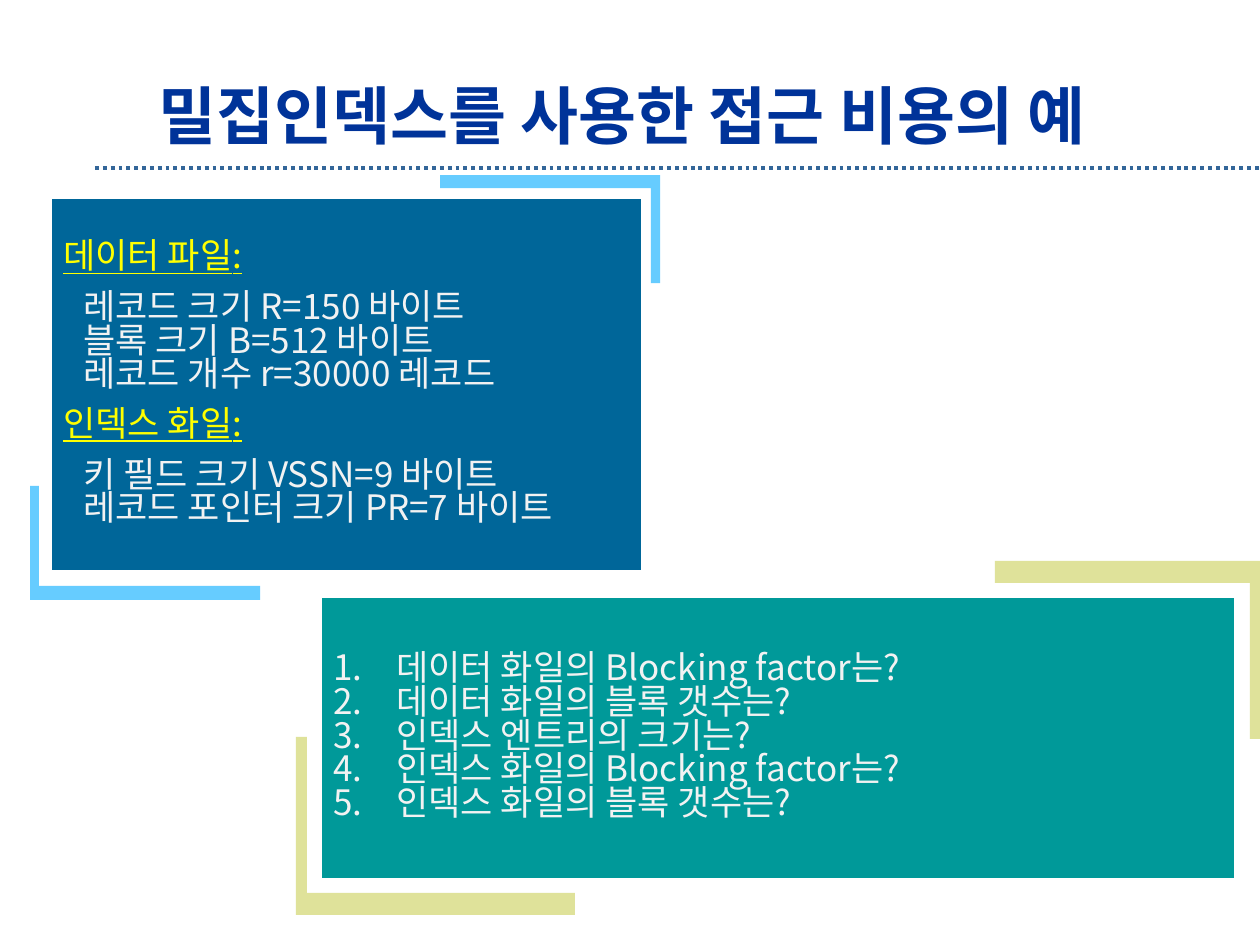
from lxml import etree
from pptx import Presentation
from pptx.dml.color import RGBColor
from pptx.enum.dml import MSO_LINE
from pptx.enum.shapes import MSO_CONNECTOR, MSO_SHAPE
from pptx.enum.text import MSO_ANCHOR, MSO_AUTO_SIZE, PP_ALIGN
from pptx.oxml.ns import qn
from pptx.util import Emu, Pt

SYS_DOT = MSO_LINE.ROUND_DOT
STRAIGHT = MSO_CONNECTOR.STRAIGHT
RECT = MSO_SHAPE.RECTANGLE
MIDDLE = MSO_ANCHOR.MIDDLE
LEFT, CENTER = PP_ALIGN.LEFT, PP_ALIGN.CENTER
NO_FIT = MSO_AUTO_SIZE.NONE
TITLE_ONLY = 5

FONT = "Noto Sans CJK KR"
COLORS = {
    "title": "003399", "rule": "336699", "white": "FFFFFF",
    "blue": "006699", "sky": "66CCFF", "teal": "009999", "olive": "DFE29A",
    "heading": "FFFF00", "text": "F2F2F2",
}

FILES = [
    ("데이터 파일:", ["레코드 크기 R=150 바이트", "블록 크기 B=512 바이트",
                 "레코드 개수 r=30000 레코드"]),
    ("인덱스 화일:", ["키 필드 크기 VSSN=9 바이트", "레코드 포인터 크기 PR=7 바이트"]),
]
QUESTIONS = [
    "데이터 화일의 Blocking factor는?",
    "데이터 화일의 블록 갯수는?",
    "인덱스 엔트리의 크기는?",
    "인덱스 화일의 Blocking factor는?",
    "인덱스 화일의 블록 갯수는?",
]


def px(n):
    return Emu(round(n * 914400 / 126))


def rgb(name):
    return RGBColor.from_string(COLORS[name])


class Deck:
    """Holds the style and the current slide."""

    def __init__(self):
        self.prs = Presentation()
        self.prs.slide_width, self.prs.slide_height = px(1260), px(945)
        self.s = self.prs.slides.add_slide(self.prs.slide_layouts[TITLE_ONLY])

    def run(self, p, text, size, color, bold=False, underline=False):
        r = p.add_run()
        r.text = text
        f = r.font
        f.name, f.size, f.bold, f.underline = FONT, Pt(size), bold, underline
        f.color.rgb = rgb(color)
        etree.SubElement(r._r.rPr, qn("a:ea"), typeface=FONT)

    def title(self, text, x, y, w, h):
        sp = self.s.shapes.title
        sp.left, sp.top, sp.width, sp.height = px(x), px(y), px(w), px(h)
        tf = sp.text_frame
        tf.auto_size, tf.vertical_anchor = NO_FIT, MIDDLE
        p = tf.paragraphs[0]
        p.alignment = CENTER
        self.run(p, text, 36, "title", bold=True)

    def dotted_rule(self, x1, x2, y):
        line = self.s.shapes.add_connector(STRAIGHT, px(x1), px(y), px(x2), px(y))
        line.line.color.rgb = rgb("rule")
        line.line.width = Pt(2.25)
        line.line.dash_style = SYS_DOT
        etree.SubElement(line._element.spPr, qn("a:effectLst"))

    def bracket(self, x, y, dx, dy, tx, ty, color):
        """Draw an L from its outer corner; dx, dy are signed arm lengths."""
        ix = x + (tx if dx > 0 else -tx)
        iy = y + (ty if dy > 0 else -ty)
        points = [(x + dx, y), (x + dx, iy), (ix, iy), (ix, y + dy), (x, y + dy)]
        fb = self.s.shapes.build_freeform(px(x), px(y))
        fb.add_line_segments([(px(a), px(b)) for a, b in points], close=True)
        sp = fb.convert_to_shape()
        sp.shadow.inherit = False
        sp.fill.solid()
        sp.fill.fore_color.rgb = rgb(color)
        sp.line.fill.background()

    def box(self, x, y, w, h, color):
        sp = self.s.shapes.add_shape(RECT, px(x), px(y), px(w), px(h))
        sp.shadow.inherit = False
        sp.fill.solid()
        sp.fill.fore_color.rgb = rgb(color)
        sp.line.color.rgb = rgb("white")
        sp.line.width = Pt(0.75)
        tf = sp.text_frame
        tf.word_wrap, tf.vertical_anchor = True, MIDDLE
        return tf

    def para(self, tf, text, color="text", before=0, indent=0, numbered=False,
             underline=False):
        p = tf.paragraphs[0] if not tf.paragraphs[0].runs else tf.add_paragraph()
        pPr = p._p.get_or_add_pPr()
        pPr.set("marL", str(px(indent)))
        if numbered:
            pPr.set("indent", str(-px(indent)))
            etree.SubElement(pPr, qn("a:buAutoNum"), type="arabicPeriod")
        p.alignment, p.line_spacing, p.space_before = LEFT, 0.8, Pt(before)
        self.run(p, text, 20, color, underline=underline)


def main():
    deck = Deck()
    deck.dotted_rule(95, 1260, 168)
    deck.title("밀집인덱스를 사용한 접근 비용의 예", 39, 78, 1166, 73)

    deck.bracket(30, 600, 230, -114, 9, 14, "sky")
    deck.bracket(660, 175, -220, 108, 9, 13, "sky")
    tf = deck.box(51, 198, 591, 373, "blue")
    for i, (heading, items) in enumerate(FILES):
        deck.para(tf, heading, "heading", before=9 if i else 0, underline=True)
        for j, item in enumerate(items):
            deck.para(tf, item, before=0 if j else 10, indent=20)

    deck.bracket(296, 915, 279, -178, 11, 22, "olive")
    deck.bracket(1260, 561, -265, 178, 10, 22, "olive")
    tf = deck.box(321, 597, 914, 282, "teal")
    for question in QUESTIONS:
        deck.para(tf, question, indent=63, numbered=True)

    deck.prs.save("out.pptx")


if __name__ == "__main__":
    main()
